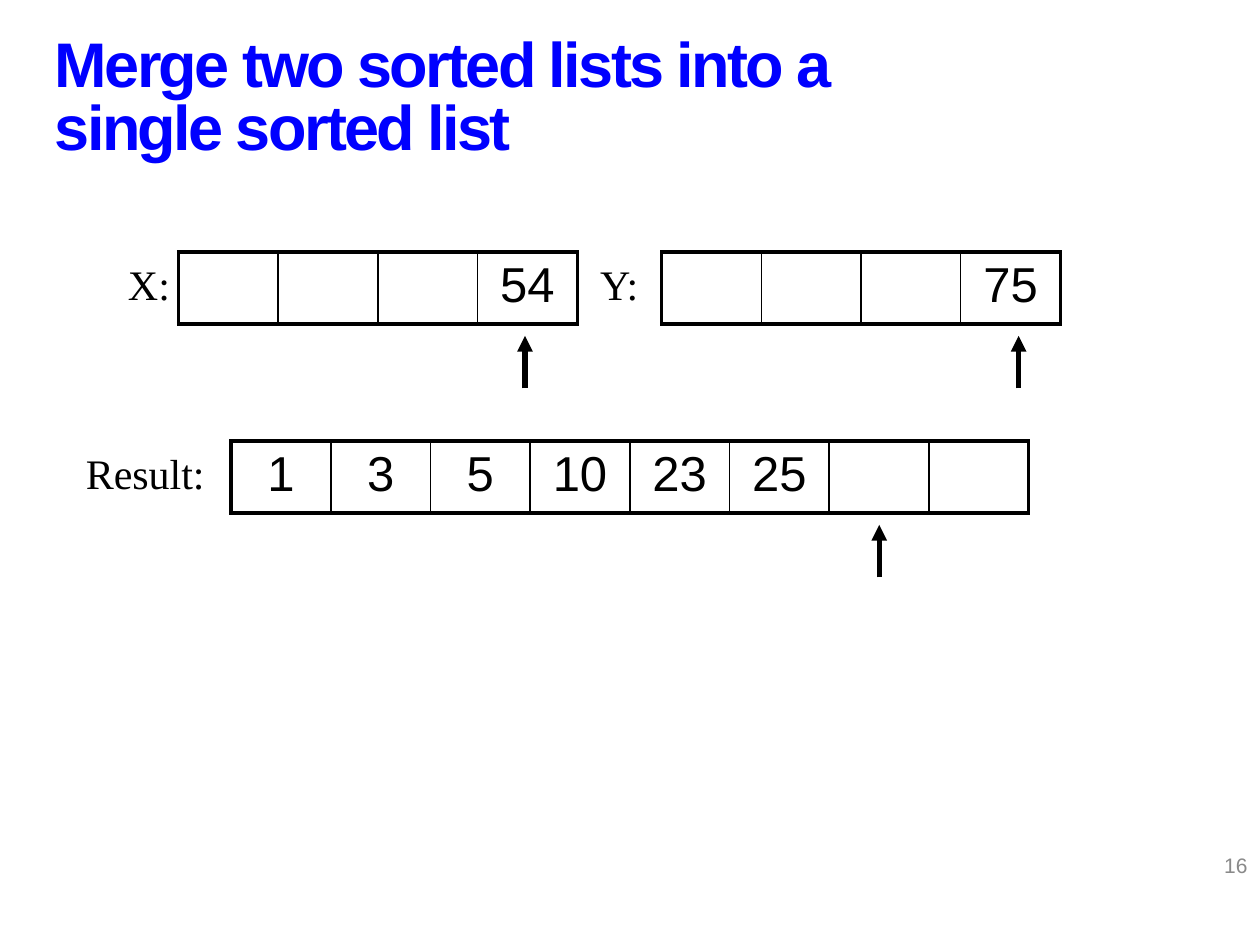
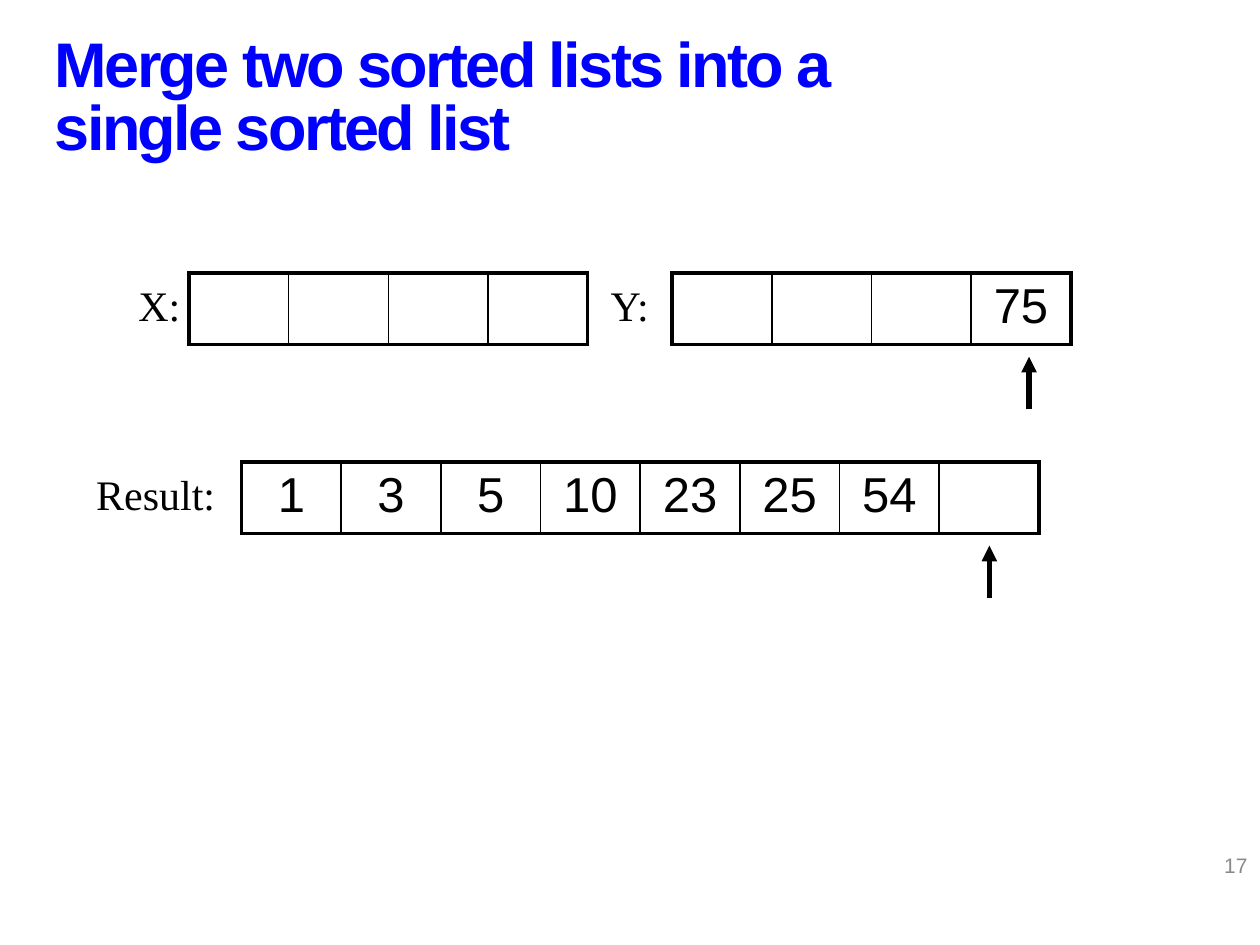
from dataclasses import dataclass

from lxml.etree import SubElement
from pptx import Presentation
from pptx.dml.color import RGBColor
from pptx.enum.shapes import MSO_CONNECTOR
from pptx.enum.text import MSO_ANCHOR, PP_ALIGN
from pptx.oxml.ns import qn
from pptx.util import Cm, Pt

# Content: None is an empty cell, "next" is the index its arrow points at
HEADING = "Merge two sorted lists into a single sorted list"
STEPS = [
    {
        "number": "16",
        "shift": (0, 0),
        "lists": {
            "X:": {"values": [None, None, None, 54], "next": 3},
            "Y:": {"values": [None, None, None, 75], "next": 3},
            "Result:": {"values": [1, 3, 5, 10, 23, 25, None, None], "next": 6},
        },
    },
    {
        "number": "17",
        "shift": (0.21, 0.42),
        "lists": {
            "X:": {"values": [None] * 4, "next": None},
            "Y:": {"values": [None, None, None, 75], "next": 3},
            "Result:": {"values": [1, 3, 5, 10, 23, 25, 54, None], "next": 7},
        },
    },
]

# Where each list sits, in cm, before the shift of its slide
PLACES = {
    "X:": {"label": 2.33, "label_width": 1.48, "cells": 3.6, "top": 5.08, "nudge": -0.05},
    "Y:": {"label": 11.85, "label_width": 1.48, "cells": 13.34, "top": 5.08, "nudge": 0.16},
    "Result:": {"label": 1.48, "label_width": 2.96, "cells": 4.66, "top": 8.89, "nudge": 0},
}
CELL_WIDTH, CELL_HEIGHT, LABEL_HEIGHT = 2.01, 1.45, 1.27
ARROW_TIP, ARROW_FOOT = 1.69, 2.75  # below the top of the cells
TITLE_BOX = (0.85, 0.42, 17.57, 3.18)
NUMBER_BOX = (19.47, 16.93, 5.93, 1.02)


@dataclass(frozen=True)
class Theme:
    black = RGBColor(0, 0, 0)
    heading = {"name": "Arial", "size": Pt(36), "bold": True, "color": RGBColor(0, 0, 255)}
    value = {"name": "Arial", "size": Pt(28), "color": black}
    label = {"name": "Times New Roman", "size": Pt(24), "color": black}
    number = {"name": "Arial", "size": Pt(12), "color": RGBColor(0x89, 0x89, 0x89)}
    outer_border, inner_border, arrow = Pt(2.25), Pt(1), Pt(3)
    heading_tracking = "-150"


def write(frame, text, font, **paragraph_format):
    """Put one formatted run in a text frame and return it."""
    paragraph = frame.paragraphs[0]
    for attribute, setting in paragraph_format.items():
        setattr(paragraph, attribute, setting)
    run = paragraph.add_run()
    run.text = text
    for attribute, setting in font.items():
        if attribute == "color":
            run.font.color.rgb = setting
        else:
            setattr(run.font, attribute, setting)
    return run


def add_text(slide, box, text, font, anchor=MSO_ANCHOR.TOP, **paragraph_format):
    frame = slide.shapes.add_textbox(*map(Cm, box)).text_frame
    frame.word_wrap = True
    frame.vertical_anchor = anchor
    write(frame, text, font, **paragraph_format)


def add_title(slide):
    title = slide.shapes.title
    for side, length in zip(("left", "top", "width", "height"), TITLE_BOX):
        setattr(title, side, Cm(length))
    title.text_frame.vertical_anchor = MSO_ANCHOR.MIDDLE
    run = write(title.text_frame, HEADING, Theme.heading,
                alignment=PP_ALIGN.LEFT, line_spacing=Pt(36))
    run.font._element.set("spc", Theme.heading_tracking)


def set_borders(cell, widths):
    properties = cell._tc.get_or_add_tcPr()
    for side, width in widths.items():
        border = SubElement(properties, qn(f"a:ln{side}"), w=str(width))
        fill = SubElement(border, qn("a:solidFill"))
        SubElement(fill, qn("a:srgbClr"), val=str(Theme.black))


def add_cells(slide, left, top, values):
    count = len(values)
    table = slide.shapes.add_table(
        1, count, Cm(left), Cm(top), Cm(CELL_WIDTH * count), Cm(CELL_HEIGHT)).table
    table.first_row = table.horz_banding = False
    for index, value in enumerate(values):
        table.columns[index].width = Cm(CELL_WIDTH)
        cell = table.cell(0, index)
        set_borders(cell, {
            "L": Theme.outer_border if index == 0 else Theme.inner_border,
            "R": Theme.outer_border if index == count - 1 else Theme.inner_border,
            "T": Theme.outer_border,
            "B": Theme.outer_border,
        })
        cell.fill.background()
        if value is not None:
            write(cell.text_frame, str(value), Theme.value, alignment=PP_ALIGN.CENTER)


def add_arrow(slide, x, top):
    arrow = slide.shapes.add_connector(
        MSO_CONNECTOR.STRAIGHT, Cm(x), Cm(top + ARROW_FOOT), Cm(x), Cm(top + ARROW_TIP))
    arrow.line.width = Theme.arrow
    arrow.line.color.rgb = Theme.black
    SubElement(arrow.line._get_or_add_ln(), qn("a:tailEnd"), type="triangle")
    SubElement(arrow._element.spPr, qn("a:effectLst"))


def add_list(slide, name, content, shift):
    place = PLACES[name]
    right, down = shift
    left, top = place["cells"] + right, place["top"] + down
    add_cells(slide, left, top, content["values"])
    add_text(slide, (place["label"] + right, top, place["label_width"], LABEL_HEIGHT),
             name, Theme.label)
    if content["next"] is not None:
        middle = (content["next"] + 0.5) * CELL_WIDTH
        add_arrow(slide, left + middle + place["nudge"], top)


def main():
    deck = Presentation()
    deck.slide_width, deck.slide_height = Cm(25.4), Cm(19.05)
    title_only = deck.slide_layouts[5]
    for step in STEPS:
        slide = deck.slides.add_slide(title_only)
        add_title(slide)
        add_text(slide, NUMBER_BOX, step["number"], Theme.number,
                 MSO_ANCHOR.MIDDLE, alignment=PP_ALIGN.RIGHT)
        for name, content in step["lists"].items():
            add_list(slide, name, content, step["shift"])
    deck.save("out.pptx")


if __name__ == "__main__":
    main()
